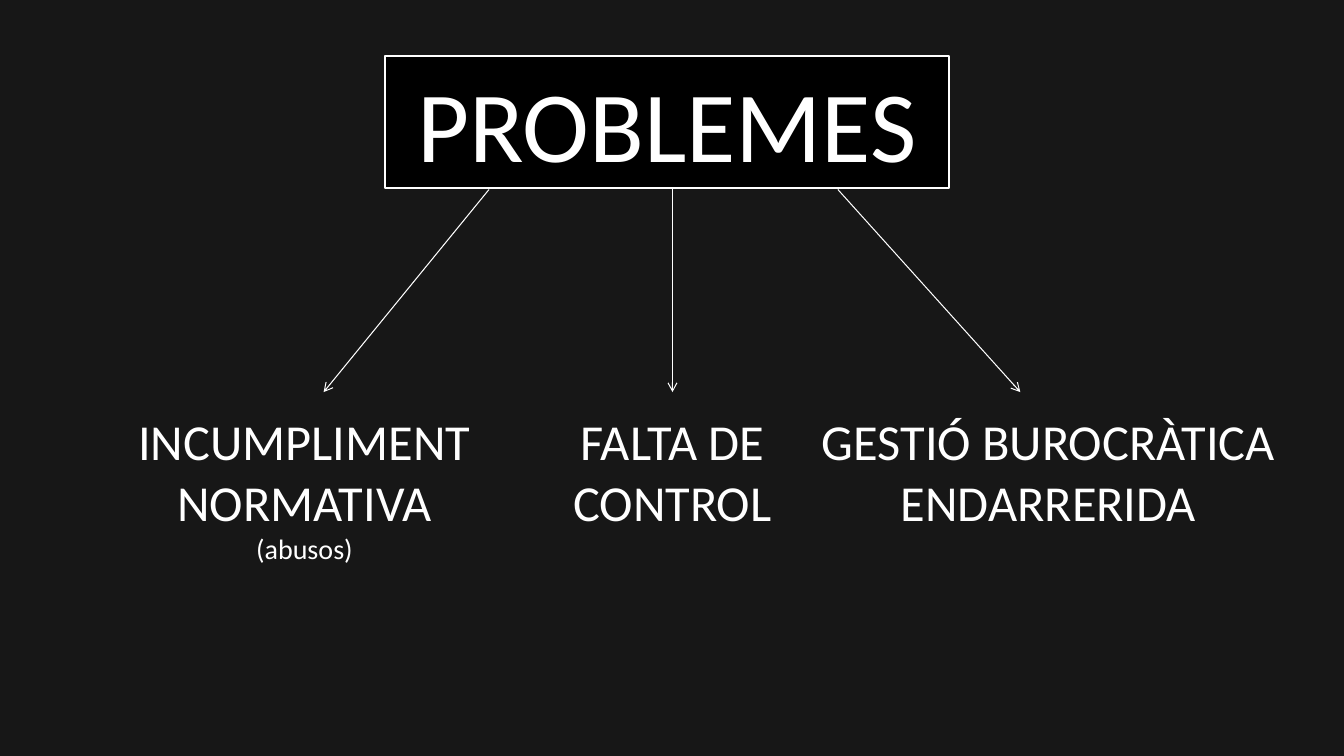
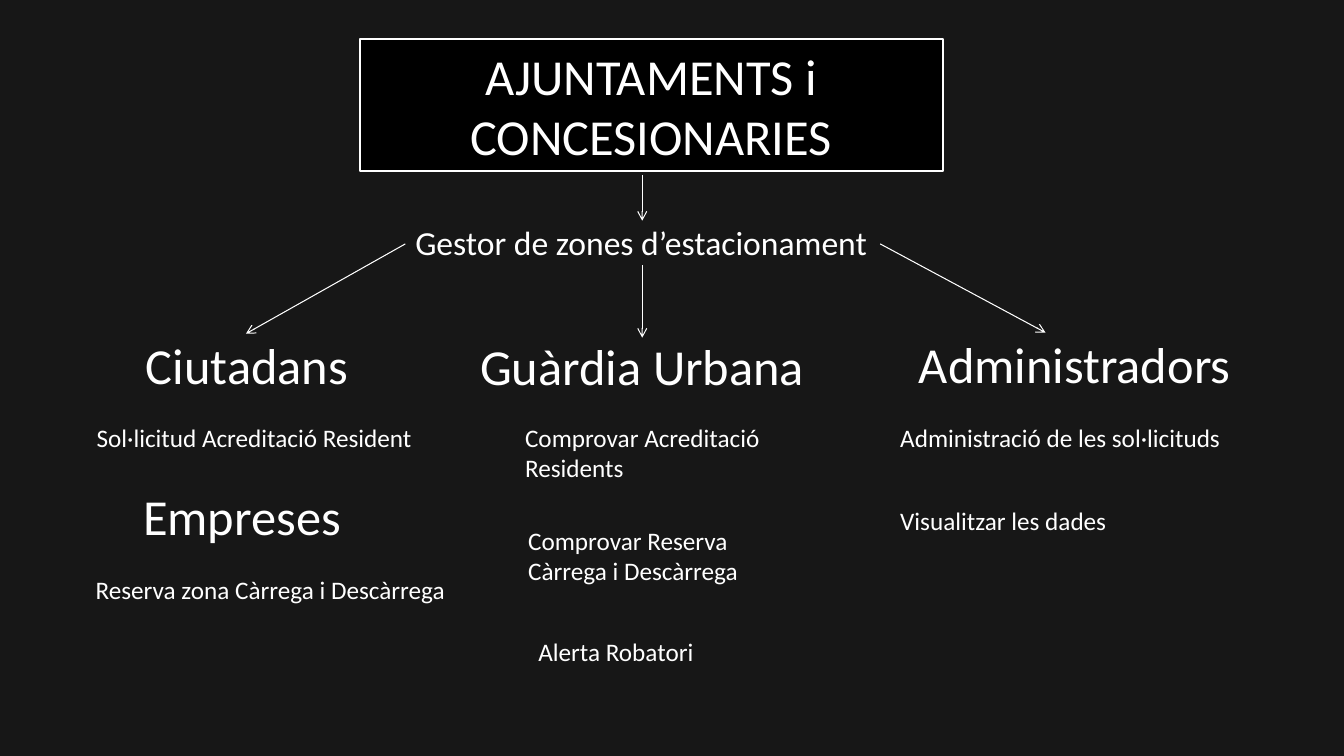
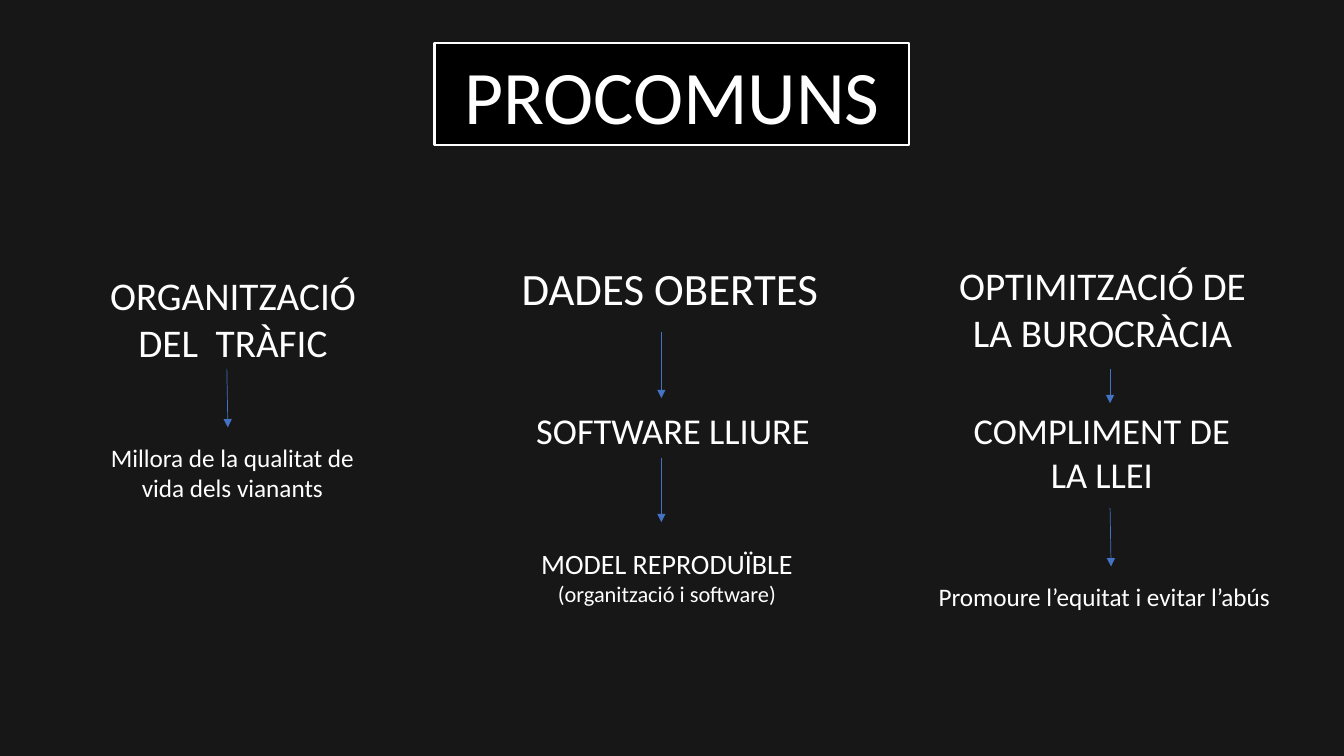
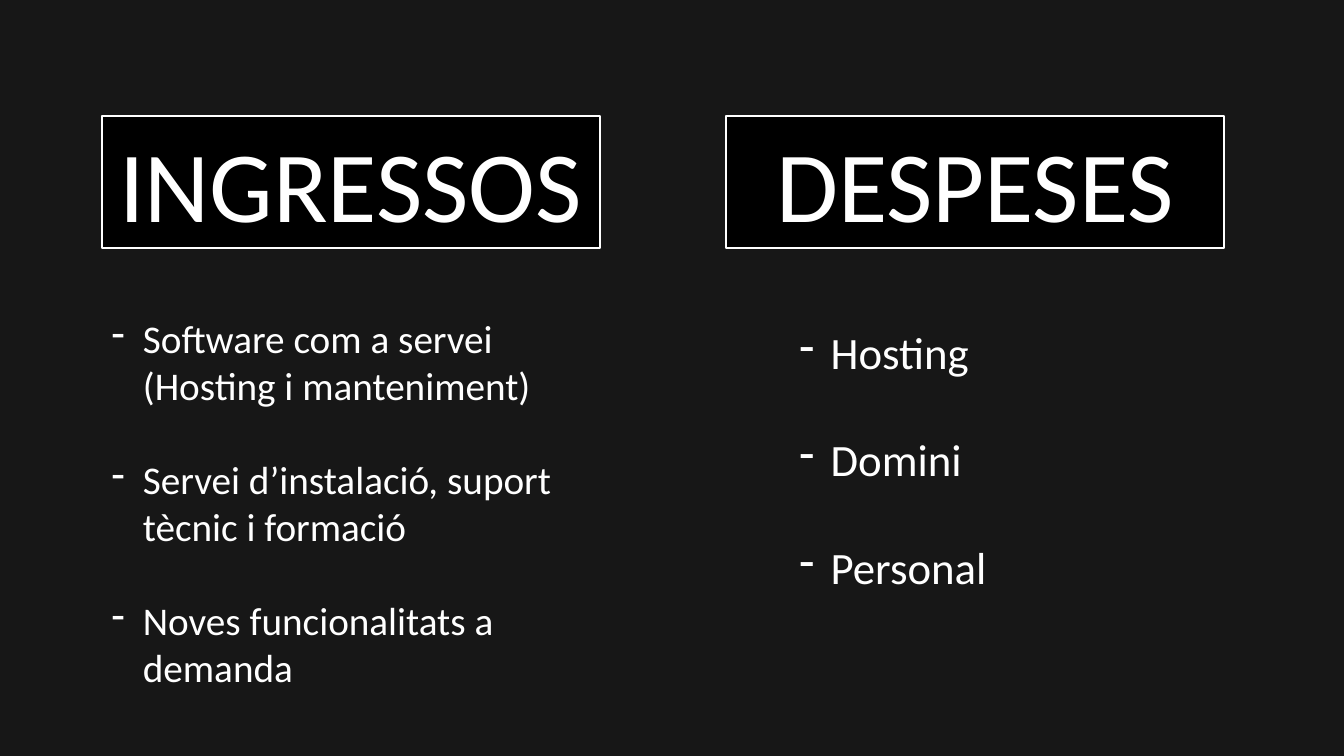
from dataclasses import dataclass, field

from lxml import etree
from pptx import Presentation
from pptx.dml.color import RGBColor
from pptx.enum import shapes, text
from pptx.oxml.ns import qn
from pptx.util import Inches, Pt

CHARCOAL = RGBColor(0x17, 0x17, 0x17)
BLACK = RGBColor(0x00, 0x00, 0x00)
WHITE = RGBColor(0xFF, 0xFF, 0xFF)
BLUE = RGBColor(0x44, 0x72, 0xC4)

FONT = "Calibri"
LINE_SPACING = 1.21
BULLET_INDENT = 0.31
HEADING, BODY = 36, 18


@dataclass
class Label:
    """Text with its place in inches; note is a smaller last line as (text, size)."""
    left: float
    top: float
    width: float
    size: int
    content: str
    lines: int = 1
    centred: bool = True
    indent: float = 0
    note: tuple = ()


@dataclass
class BulletList:
    left: float
    top: float
    width: float
    size: int
    items: list
    lines: int


@dataclass
class Arrows:
    ends: list
    color: RGBColor = WHITE
    weight: float = 0.75
    head: str = "arrow"


@dataclass
class Page:
    titles: list
    labels: list = field(default_factory=list)
    arrows: Arrows = None
    lists: list = field(default_factory=list)


def note_label(left, top, width, content, lines=1):
    return Label(left, top, width, BODY, content, lines, centred=False)


PROBLEMS = Page(
    titles=[Label(3.82, 0.56, 5.59, 72, "PROBLEMES")],
    labels=[
        Label(1.01, 4.02, 4.02, HEADING, "INCUMPLIMENT NORMATIVA", 2, note=("(abusos)", 20)),
        Label(5.18, 4.02, 2.98, HEADING, "FALTA DE CONTROL", 2),
        Label(8.03, 4.02, 4.74, HEADING, "GESTIÓ BUROCRÀTICA ENDARRERIDA", 2),
    ],
    arrows=Arrows([
        (4.85, 1.88, 3.21, 3.89),
        (6.67, 1.88, 6.67, 3.89),
        (8.31, 1.88, 10.12, 3.89),
    ]),
)

USERS = Page(
    titles=[Label(3.57, 0.39, 5.78, HEADING, "AJUNTAMENTS i CONCESIONARIES", 2)],
    labels=[
        Label(4.02, 2.15, 4.81, 24, "Gestor de zones d’estacionament", centred=False),
        Label(0.44, 3.27, 4.02, HEADING, "Ciutadans"),
        Label(4.57, 3.28, 3.6, HEADING, "Guàrdia Urbana"),
        Label(8.29, 3.26, 4.74, HEADING, "Administradors"),
        Label(0.39, 4.76, 4.02, HEADING, "Empreses"),
        note_label(0.86, 4.14, 3.6, "Sol·licitud Acreditació Resident"),
        note_label(0.85, 5.65, 3.73, "Reserva zona Càrrega i Descàrrega"),
        note_label(5.11, 4.14, 2.66, "Comprovar Acreditació Residents", 2),
        note_label(5.14, 5.16, 2.31, "Comprovar Reserva Càrrega i Descàrrega", 2),
        note_label(5.24, 6.26, 2.11, "Alerta Robatori"),
        note_label(8.83, 4.14, 3.51, "Administració de les sol·licituds"),
        note_label(8.83, 4.96, 2.47, "Visualitzar les dades"),
    ],
    arrows=Arrows([
        (6.37, 1.74, 6.37, 2.19),
        (4.02, 2.42, 2.44, 3.31),
        (6.37, 2.63, 6.37, 3.35),
        (8.73, 2.42, 10.37, 3.3),
    ]),
)

COMMONS = Page(
    titles=[Label(4.31, 0.43, 4.71, 54, "PROCOMUNS")],
    labels=[
        Label(0.34, 2.64, 3.44, 28, "ORGANITZACIÓ DEL  TRÀFIC", 2, indent=0.5),
        note_label(0.83, 4.34, 2.95, "Millora de la qualitat de vida dels vianants", 2),
        Label(4.26, 2.54, 4.27, 32, "DADES OBERTES", indent=0.5),
        Label(5.22, 4, 3.36, 26, "SOFTWARE LLIURE", centred=False),
        Label(4.54, 5.37, 3.65, 20, "MODEL REPRODUÏBLE", indent=0.5,
              note=("(organització i software)", 16)),
        Label(8.85, 2.54, 3.67, 28, "OPTIMITZACIÓ DE LA BUROCRÀCIA", 2, indent=0.5),
        Label(8.96, 4, 3.44, 26, "COMPLIMENT DE LA LLEI", 2, indent=0.5),
        note_label(9.21, 5.72, 3.78, "Promoure l’equitat i evitar l’abús"),
    ],
    arrows=Arrows([
        (2.25, 3.66, 2.26, 4.24),
        (6.56, 3.29, 6.56, 3.95),
        (6.56, 4.54, 6.56, 5.18),
        (11.01, 3.66, 11.01, 4),
        (11.01, 5.04, 11.02, 5.62),
    ], BLUE, 0.5, "triangle"),
)
COMMONS.labels[1].centred = True

BUDGET = Page(
    titles=[
        Label(1.01, 1.15, 4.94, 72, "INGRESSOS"),
        Label(7.2, 1.15, 4.94, 72, "DESPESES"),
    ],
    lists=[
        BulletList(1.01, 3.07, 5.1, 28, [
            "Software com a servei (Hosting i manteniment)",
            "Servei d’instalació, suport tècnic i formació",
            "Noves funcionalitats a demanda",
        ], 8),
        BulletList(7.83, 3.17, 4.67, 32, ["Hosting", "Domini", "Personal"], 5),
    ],
)


def text_height(points):
    return points * LINE_SPACING / 72 + 0.1


def frame_for(box):
    frame = box.text_frame
    frame.word_wrap = True
    frame.auto_size = text.MSO_AUTO_SIZE.SHAPE_TO_FIT_TEXT
    return frame


def write(para, content, size, centred=False):
    para.text = content
    para.alignment = text.PP_ALIGN.CENTER if centred else text.PP_ALIGN.LEFT
    for span in para.runs:
        span.font.name = FONT
        span.font.size = Pt(size)
        span.font.color.rgb = WHITE


def set_indent(para, margin, first_line=0):
    properties = para._p.get_or_add_pPr()
    properties.set("marL", str(Inches(margin)))
    properties.set("indent", str(Inches(first_line)))
    return properties


def place(label):
    """Left, top, width and height of a label, the height following its lines."""
    points = label.size * label.lines
    if getattr(label, "note", ()):
        points += label.note[1]
    return [Inches(n) for n in (label.left, label.top, label.width, text_height(points))]


def add_title(slide, label):
    box = slide.shapes.add_shape(shapes.MSO_SHAPE.RECTANGLE, *place(label))
    box.shadow.inherit = False
    box.fill.solid()
    box.fill.fore_color.rgb = BLACK
    box.line.color.rgb = WHITE
    box.line.width = Pt(1.5)
    write(frame_for(box).paragraphs[0], label.content, label.size, True)


def add_label(slide, label):
    frame = frame_for(slide.shapes.add_textbox(*place(label)))
    write(frame.paragraphs[0], label.content, label.size, label.centred)
    if label.note:
        write(frame.add_paragraph(), *label.note, label.centred)
    if label.indent:
        for para in frame.paragraphs:
            set_indent(para, label.indent)


def add_list(slide, bullets):
    frame = frame_for(slide.shapes.add_textbox(*place(bullets)))
    for index, item in enumerate(bullets.items):
        para = frame.add_paragraph() if index else frame.paragraphs[0]
        write(para, item, bullets.size)
        if index:
            para.space_before = Pt(round(bullets.size * 1.2, 1))
        properties = set_indent(para, BULLET_INDENT, -BULLET_INDENT)
        etree.SubElement(properties, qn("a:buFontTx"))
        etree.SubElement(properties, qn("a:buChar")).set("char", "-")


def add_arrows(slide, arrows):
    for ends in arrows.ends:
        arrow = slide.shapes.add_connector(
            shapes.MSO_CONNECTOR.STRAIGHT, *[Inches(n) for n in ends])
        arrow.line.color.rgb = arrows.color
        arrow.line.width = Pt(arrows.weight)
        outline = arrow.line._get_or_add_ln()
        etree.SubElement(outline, qn("a:tailEnd")).set("type", arrows.head)
        etree.SubElement(arrow._element.spPr, qn("a:effectLst"))


def add_page(deck, page):
    slide = deck.slides.add_slide(deck.slide_layouts[6])
    slide.background.fill.solid()
    slide.background.fill.fore_color.rgb = CHARCOAL
    for title in page.titles:
        add_title(slide, title)
    for label in page.labels:
        add_label(slide, label)
    for bullets in page.lists:
        add_list(slide, bullets)
    if page.arrows:
        add_arrows(slide, page.arrows)


def main():
    deck = Presentation()
    deck.slide_width = Inches(13.33)
    deck.slide_height = Inches(7.5)
    for page in (PROBLEMS, USERS, COMMONS, BUDGET):
        add_page(deck, page)
    deck.save("out.pptx")


if __name__ == "__main__":
    main()
